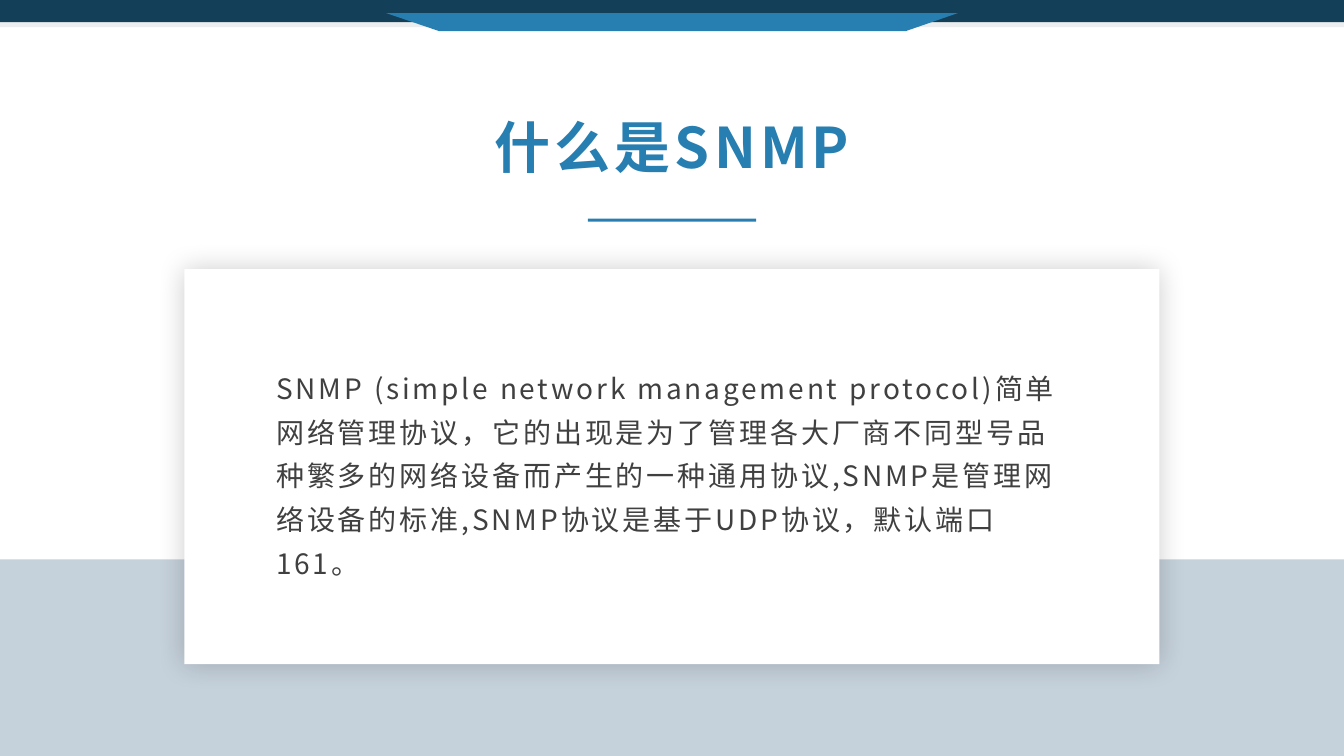
from dataclasses import dataclass

from lxml import etree
from pptx import Presentation
from pptx.dml.color import RGBColor
from pptx.enum.shapes import MSO_SHAPE
from pptx.enum.text import MSO_ANCHOR, PP_ALIGN
from pptx.oxml.ns import qn
from pptx.util import Inches, Pt


@dataclass(frozen=True)
class Theme:
    font: str = "Noto Sans CJK SC"
    white: str = "FFFFFF"
    navy: str = "143F58"
    blue: str = "277EB1"
    slate: str = "333C4A"
    mist: str = "E2E8ED"
    steel: str = "C5D1DB"
    ink: str = "404040"
    shadow: str = "000000"
    title_size: int = 40
    body_size: int = 20


theme = Theme()
WIDTH, HEIGHT = 13.33, 7.5


def paint(shape, color, alpha=None):
    """Give the shape a plain fill, with no outline or inherited shadow."""
    shape.shadow.inherit = False
    shape.line.fill.background()
    shape.fill.solid()
    shape.fill.fore_color.rgb = RGBColor.from_string(color)
    if alpha is not None:
        tone = shape.fill._xPr.find(".//" + qn("a:srgbClr"))
        etree.SubElement(tone, qn("a:alpha"), val=str(alpha * 1000))


def write(box, text, *, size, color, spacing, bold=False,
          align=PP_ALIGN.LEFT, line_spacing=1.0, after=0):
    frame = box.text_frame
    frame.word_wrap = True
    frame.vertical_anchor = MSO_ANCHOR.MIDDLE
    frame.margin_left = frame.margin_right = Inches(0.07)
    frame.margin_top = frame.margin_bottom = Inches(0.03)
    para = frame.paragraphs[0]
    para.alignment = align
    para.line_spacing = line_spacing
    para.space_before = Pt(0)
    para.space_after = Pt(after)
    span = para.add_run()
    span.text = text
    span.font.name = theme.font
    span.font.size = Pt(size)
    span.font.bold = bold
    span.font.color.rgb = RGBColor.from_string(color)
    props = span.font._element
    props.set("spc", str(spacing * 100))
    etree.SubElement(props, qn("a:ea"), typeface=theme.font)


deck = Presentation()
deck.slide_width, deck.slide_height = Inches(WIDTH), Inches(HEIGHT)
page = deck.slides.add_slide(deck.slide_layouts[5])
page.background.fill.solid()
page.background.fill.fore_color.rgb = RGBColor.from_string(theme.white)

# Header bands
for top, height, color, alpha in [
    (0.22, 0.05, theme.slate, 9),
    (0, 0.22, theme.navy, None),
]:
    band = page.shapes.add_shape(
        MSO_SHAPE.RECTANGLE, 0, Inches(top), Inches(WIDTH), Inches(height))
    paint(band, color, alpha)

# Header tab
outline = page.shapes.build_freeform(Inches(3.83), Inches(0.13))
outline.add_line_segments(
    [(Inches(x), Inches(y)) for x, y in [(9.5, 0.13), (8.98, 0.31), (4.36, 0.31)]])
paint(outline.convert_to_shape(), theme.blue)

# Footer bands, card and title rule
for left, top, width, height, color in [
    (0, 5.56, WIDTH, 1.94, theme.mist),
    (0, 5.55, WIDTH, 1.95, theme.steel),
    (1.83, 2.67, 9.67, 3.92, theme.white),
    (5.83, 2.17, 1.67, 0.03, theme.blue),
]:
    panel = page.shapes.add_shape(
        MSO_SHAPE.RECTANGLE, Inches(left), Inches(top), Inches(width), Inches(height))
    paint(panel, color)
    if color == theme.white:
        effects = panel._element.spPr.find(qn("a:effectLst"))
        glow = etree.SubElement(effects, qn("a:outerShdw"), blurRad=str(Pt(20)),
                                dist="0", algn="ctr", rotWithShape="0")
        tone = etree.SubElement(glow, qn("a:srgbClr"), val=theme.shadow)
        etree.SubElement(tone, qn("a:alpha"), val="20000")

title = page.shapes.title
title.left, title.top = Inches(1.83), Inches(1.03)
title.width, title.height = Inches(9.67), Inches(0.83)
write(title, "什么是SNMP", size=theme.title_size, color=theme.blue,
      spacing=3, bold=True, align=PP_ALIGN.CENTER)
# Keep the title above the panels
page.shapes._spTree.append(title._element)

body = page.shapes.add_textbox(Inches(2.67), Inches(3.17), Inches(8), Inches(3))
write(
    body,
    "SNMP (simple network management protocol)简单网络管理协议，"
    "它的出现是为了管理各大厂商不同型号品种繁多的网络设备而产生的一种通用协议,"
    "SNMP是管理网络设备的标准,SNMP协议是基于UDP协议，默认端口161。",
    size=theme.body_size, color=theme.ink, spacing=2, line_spacing=1.3, after=8)

deck.save("out.pptx")
